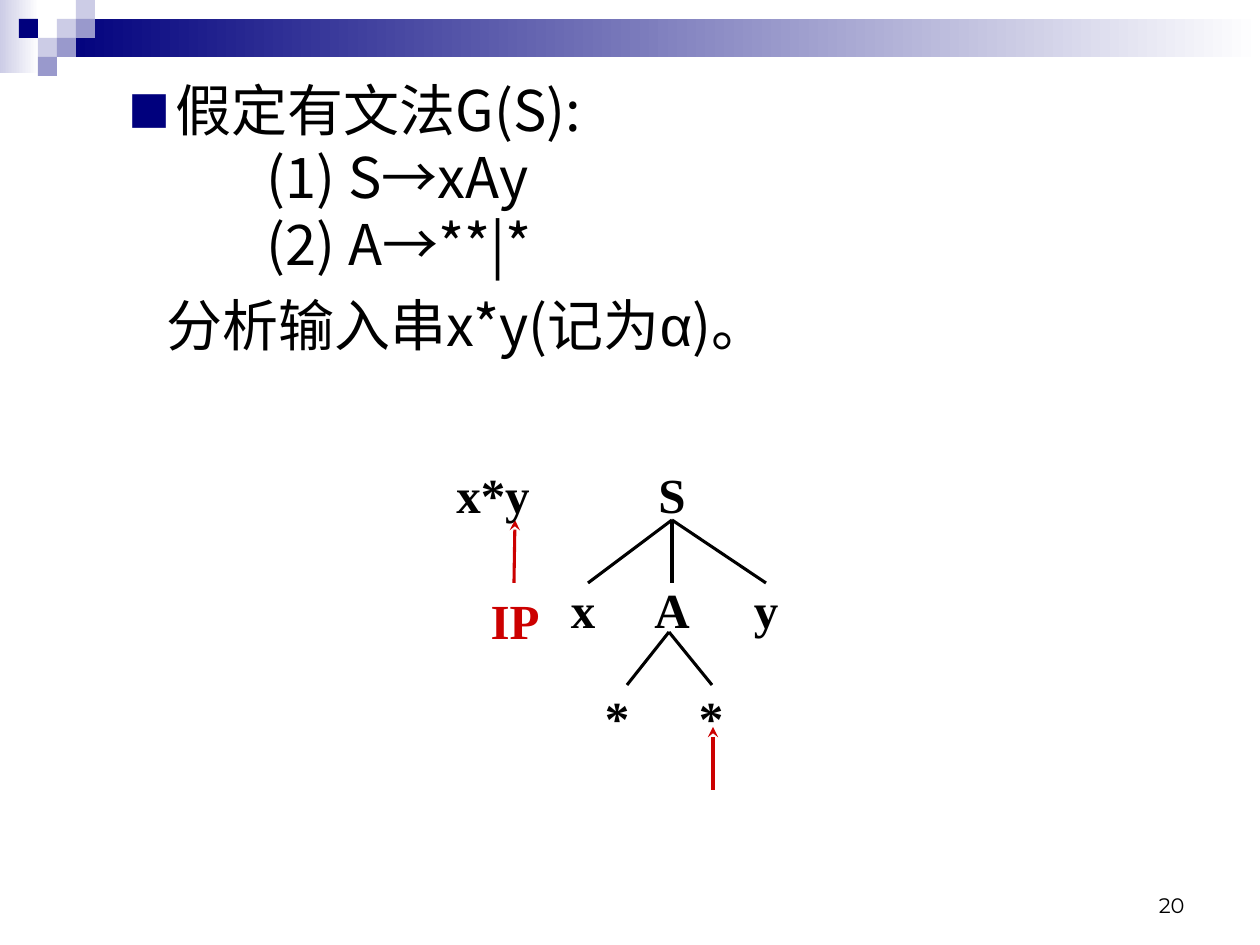
import pptx
import pptx.dml.color
import pptx.enum.shapes
import pptx.enum.text
import pptx.oxml.ns
import pptx.util
from lxml import etree

EMU_PER_PX = 914400 / 126
SLIDE_SIZE = (1260, 945)
CELL = 19

THEME = {
    "navy": "00007D", "violet": "9999CC", "lilac": "CCCCE6", "white": "FFFFFF",
    "black": "000000", "red": "CC0000",
    "body_font": "Noto Sans CJK SC", "greek_font": "Arial",
    "tree_font": "Times New Roman", "number_font": "Montserrat",
    "body_size": 32, "tree_size": 28, "number_size": 12,
    "line_width": 1.75, "line_pitch": 38.3,
}

# left, top, width, height, first colour
GRADIENT_BANDS = [(0, 0, 39, 73, "lilac"), (57, 19, 1203, 38, "navy")]
# column, row, colour on the corner grid
CORNER_SQUARES = [
    (2, 1, "lilac"), (3, 0, "lilac"), (3, 1, "violet"), (1, 2, "lilac"),
    (0, 1, "navy"), (2, 2, "violet"), (1, 3, "violet"),
]

BODY_BOX = (116, 63, 1081, 315)
# runs of (text, font), left margin, space before in points, bulleted
BODY_LINES = [
    ([("假定有文法G(S):", "body_font")], 47, 0, True),
    ([("(1) S→xAy", "body_font")], 138, 0, False),
    ([("(2) A→**|*", "body_font")], 138, 0, False),
    ([("分析输入串x*y(记为", "body_font"), ("α", "greek_font"), (")。", "body_font")], 38, 8, False),
]

# text, centre x, centre y, colour
LABELS = [
    ("S", 672, 494, "black"), ("x*y", 493, 494, "black"), ("IP", 515, 620, "red"),
    ("x", 583, 609, "black"), ("A", 672, 609, "black"), ("y", 766, 609, "black"),
    ("*", 617, 717, "black"), ("*", 711, 717, "black"),
]
LABEL_SIZE = (105, 63)
# parent point, child points
BRANCHES = [
    ((672, 520), [(588, 583), (672, 583), (766, 583)]),
    ((669, 632), [(627, 685), (712, 685)]),
]
POINTERS = [((514, 583), (515, 520)), ((713, 790), (713, 727))]

SLIDE_NUMBER = "20"
NUMBER_BOX = (903, 861, 294, 63)


def px(*lengths):
    return [pptx.util.Emu(round(length * EMU_PER_PX)) for length in lengths]


def rgb(name):
    return pptx.dml.color.RGBColor.from_string(THEME[name])


def set_all(target, **values):
    for name, value in values.items():
        setattr(target, name, value)


def add_xml(parent, tag, **attributes):
    return etree.SubElement(parent, pptx.oxml.ns.qn(tag), attributes)


def add_run(paragraph, text, font, size, color="black", bold=False):
    run = paragraph.add_run()
    run.text = text
    set_all(run.font, name=THEME[font], size=pptx.util.Pt(THEME[size]), bold=bold)
    run.font.color.rgb = rgb(color)
    add_xml(run.font._element, "a:ea", typeface=THEME[font])


def add_rectangle(slide, box):
    shape = slide.shapes.add_shape(pptx.enum.shapes.MSO_SHAPE.RECTANGLE, *px(*box))
    shape.shadow.inherit = False
    shape.line.fill.background()
    return shape


def add_decoration(slide):
    for *box, color in GRADIENT_BANDS:
        fill = add_rectangle(slide, box).fill
        fill.gradient()
        fill.gradient_angle = 0
        for stop, position, name in zip(fill.gradient_stops, (0, 1), (color, "white")):
            stop.position = position
            stop.color.rgb = rgb(name)
    for column, row, color in CORNER_SQUARES:
        fill = add_rectangle(slide, ((column + 1) * CELL, row * CELL, CELL, CELL)).fill
        fill.solid()
        fill.fore_color.rgb = rgb(color)


def add_bullet(properties):
    color = add_xml(properties, "a:buClr")
    add_xml(color, "a:srgbClr", val=THEME["navy"])
    add_xml(properties, "a:buSzPct", val="75000")
    add_xml(properties, "a:buFont", typeface=THEME["body_font"])
    add_xml(properties, "a:buChar", char="■")


def fill_body(placeholder):
    left, top, width, height = px(*BODY_BOX)
    set_all(placeholder, left=left, top=top, width=width, height=height)
    frame = placeholder.text_frame
    # The larger top inset offsets the exact line pitch.
    set_all(frame, word_wrap=True, margin_top=px(13)[0],
            auto_size=pptx.enum.text.MSO_AUTO_SIZE.NONE)
    for index, (runs, margin, before, bulleted) in enumerate(BODY_LINES):
        paragraph = frame.paragraphs[0] if index == 0 else frame.add_paragraph()
        set_all(paragraph, space_before=pptx.util.Pt(before), space_after=pptx.util.Pt(0),
                line_spacing=pptx.util.Pt(THEME["line_pitch"]))
        properties = paragraph._p.get_or_add_pPr()
        properties.set("marL", str(px(margin)[0]))
        properties.set("indent", str(-px(margin)[0] if bulleted else 0))
        if bulleted:
            add_bullet(properties)
        else:
            add_xml(properties, "a:buNone")
        for text, font in runs:
            add_run(paragraph, text, font, "body_size")


def add_text(slide, box, text, align, anchor, wrap, **format_values):
    frame = slide.shapes.add_textbox(*px(*box)).text_frame
    set_all(frame, word_wrap=wrap, vertical_anchor=anchor)
    paragraph = frame.paragraphs[0]
    paragraph.alignment = align
    add_run(paragraph, text, **format_values)


def add_line(slide, start, end, color, arrow=False):
    connector = slide.shapes.add_connector(
        pptx.enum.shapes.MSO_CONNECTOR.STRAIGHT, *px(*start, *end))
    connector.line.width = pptx.util.Pt(THEME["line_width"])
    connector.line.color.rgb = rgb(color)
    if arrow:
        add_xml(connector.line._get_or_add_ln(), "a:tailEnd", type="stealth")
    add_xml(connector._element.spPr, "a:effectLst")


def add_tree(slide):
    for parent, children in BRANCHES:
        for child in children:
            add_line(slide, parent, child, "black")
    for start, end in POINTERS:
        add_line(slide, start, end, "red", arrow=True)
    width, height = LABEL_SIZE
    for text, x, y, color in LABELS:
        add_text(slide, (x - width / 2, y - height / 2, width, height), text,
                 pptx.enum.text.PP_ALIGN.CENTER, pptx.enum.text.MSO_ANCHOR.MIDDLE, False,
                 font="tree_font", size="tree_size", color=color, bold=True)


def main():
    presentation = pptx.Presentation()
    presentation.slide_width, presentation.slide_height = px(*SLIDE_SIZE)
    slide = presentation.slides.add_slide(presentation.slide_layouts[1])
    title = slide.shapes.title._element
    title.getparent().remove(title)
    add_decoration(slide)
    fill_body(slide.placeholders[1])
    add_tree(slide)
    add_text(slide, NUMBER_BOX, SLIDE_NUMBER, pptx.enum.text.PP_ALIGN.RIGHT,
             pptx.enum.text.MSO_ANCHOR.BOTTOM, True, font="number_font", size="number_size")
    presentation.save("out.pptx")


if __name__ == "__main__":
    main()
